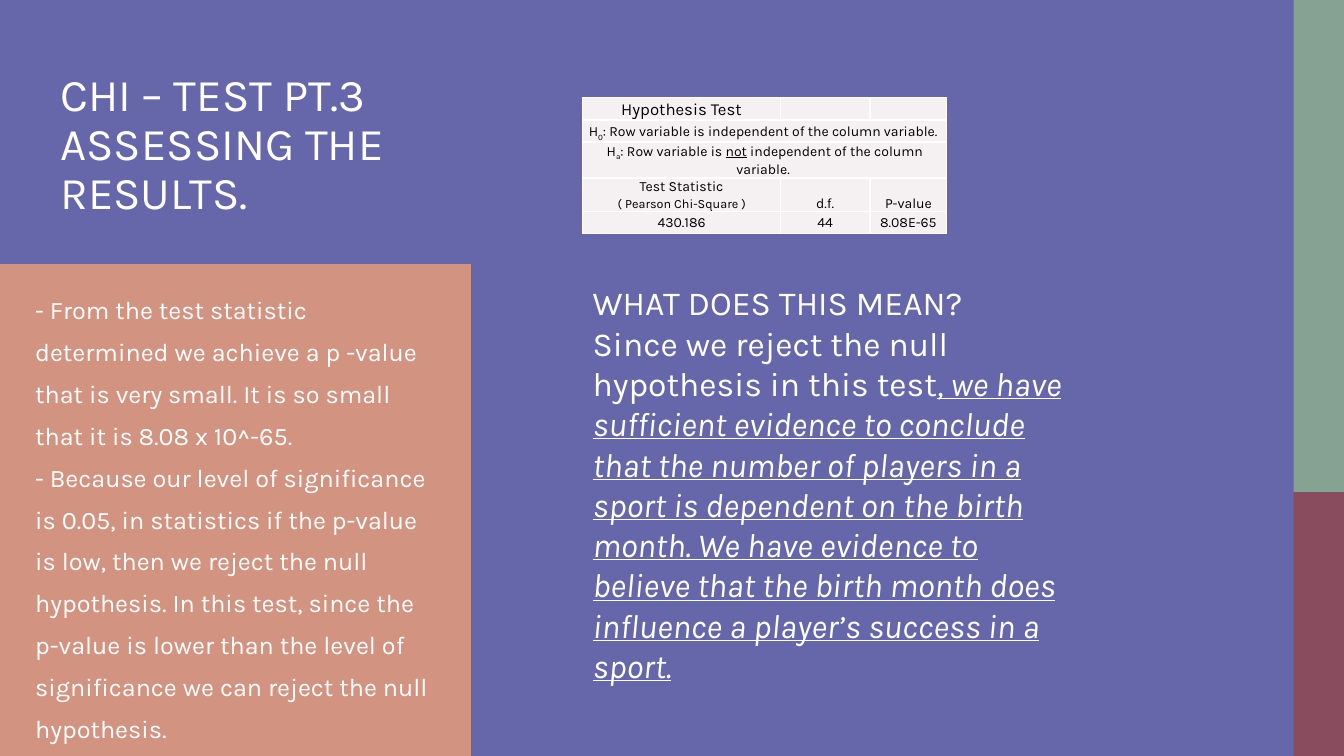
import pptx
import pptx.dml.color
import pptx.enum.shapes
import pptx.enum.text
import pptx.oxml
import pptx.oxml.ns
import pptx.util
from pptx.util import Inches

COLOURS = {
    "background": "6667AB",
    "peach": "D29381",
    "wine": "884C5E",
    "sage": "86A293",
    "white": "FFFFFF",
    "black": "000000",
    "cell": "F5F1F2",
}
FONT = "Karla"
ANCHOR = pptx.enum.text.MSO_ANCHOR
ALIGN = pptx.enum.text.PP_ALIGN

TITLE = "CHI – TEST PT.3\nASSESSING THE RESULTS."
FINDINGS = [
    "- From the test statistic determined we achieve a p -value that is very small. "
    "It is so small that it is 8.08 x 10^-65.",
    "- Because our level of significance is 0.05, in statistics if the p-value is low, "
    "then we reject the null hypothesis. In this test, since the p-value is lower than "
    "the level of significance we can reject the null hypothesis.",
]
MEANING = [
    "WHAT DOES THIS MEAN?",
    [
        "Since we reject the null hypothesis in this test",
        (", we have sufficient evidence to conclude that the number of players in a sport "
         "is dependent on the birth month. We have evidence to believe that the birth month "
         "does influence a player’s success in a sport.", {"italic": True, "underline": True}),
    ],
]

# A cell is a string or a list of runs; a one-cell row spans the table
COLUMN_WIDTHS = [1.96, 0.89, 0.76]
ROW_HEIGHTS = [0.22, 0.22, 0.35, 0.32, 0.22]
SUBSCRIPT = {"baseline": -25}
HYPOTHESIS_ROWS = [
    [[("Hypothesis Test", {"size": 12})], "", ""],
    [["H", ("0", SUBSCRIPT), ": Row variable is independent of the column variable. "]],
    [["H", ("a", SUBSCRIPT), ": Row variable is ", ("not", {"underline": True}),
      " independent of the column variable. "]],
    [["Test Statistic\n ", ("( Pearson Chi-Square ) ", {"size": 9})], "d.f.", "P-value"],
    ["430.186", "44", "8.08E-65"],
]


def rgb(name):
    return pptx.dml.color.RGBColor.from_string(COLOURS[name])


def write_text(frame, paragraphs, size=18, colour="white", align=ALIGN.LEFT,
               anchor=ANCHOR.TOP, line_spacing=None):
    frame.word_wrap = True
    frame.vertical_anchor = anchor
    for number, content in enumerate(paragraphs):
        paragraph = frame.add_paragraph() if number else frame.paragraphs[0]
        paragraph.alignment = align
        paragraph.line_spacing = line_spacing
        if not content:
            # Keeps an empty cell as low as a filled one
            end = pptx.oxml.parse_xml(
                f'<a:endParaRPr {pptx.oxml.ns.nsdecls("a")} sz="{size * 100}"/>')
            paragraph._p.append(end)
            continue
        for part in [content] if isinstance(content, str) else content:
            text, style = (part, {}) if isinstance(part, str) else part
            for line_number, line in enumerate(text.split("\n")):
                if line_number:
                    paragraph.add_line_break()
                run = paragraph.add_run()
                run.text = line
                run.font.name = FONT
                run.font.size = pptx.util.Pt(style.get("size", size))
                run.font.color.rgb = rgb(colour)
                run.font.italic = style.get("italic")
                run.font.underline = style.get("underline")
                if "baseline" in style:
                    run._r.get_or_add_rPr().set("baseline", str(style["baseline"] * 1000))


def add_panel(slide, left, top, width, height, colour):
    panel = slide.shapes.add_shape(
        pptx.enum.shapes.MSO_SHAPE.RECTANGLE,
        Inches(left), Inches(top), Inches(width), Inches(height))
    panel.shadow.inherit = False
    panel.fill.solid()
    panel.fill.fore_color.rgb = rgb(colour)
    panel.line.fill.background()


def add_text(slide, left, top, width, height, paragraphs, **text_format):
    box = slide.shapes.add_textbox(Inches(left), Inches(top), Inches(width), Inches(height))
    write_text(box.text_frame, paragraphs, **text_format)


def set_borders(cell, colour, points):
    properties = cell._tc.get_or_add_tcPr()
    for position, side in enumerate(["lnL", "lnR", "lnT", "lnB"]):
        border = pptx.oxml.parse_xml(
            f'<a:{side} {pptx.oxml.ns.nsdecls("a")} w="{points * 12700}"><a:solidFill>'
            f'<a:srgbClr val="{COLOURS[colour]}"/></a:solidFill></a:{side}>')
        properties.insert(position, border)


def add_hypothesis_table(slide, left, top):
    table = slide.shapes.add_table(
        len(ROW_HEIGHTS), len(COLUMN_WIDTHS), Inches(left), Inches(top),
        Inches(sum(COLUMN_WIDTHS)), Inches(sum(ROW_HEIGHTS))).table
    table.first_row = table.horz_banding = False
    for column, width in zip(table.columns, COLUMN_WIDTHS):
        column.width = Inches(width)
    last_row = len(ROW_HEIGHTS) - 1
    last_column = len(COLUMN_WIDTHS) - 1
    for row, (height, contents) in enumerate(zip(ROW_HEIGHTS, HYPOTHESIS_ROWS)):
        table.rows[row].height = Inches(height)
        if len(contents) == 1:
            table.cell(row, 0).merge(table.cell(row, last_column))
            contents = contents + [""] * last_column
        for column, content in enumerate(contents):
            cell = table.cell(row, column)
            cell.margin_left = cell.margin_right = cell.margin_top = cell.margin_bottom = 0
            cell.fill.solid()
            cell.fill.fore_color.rgb = rgb("cell")
            set_borders(cell, "white", 1)
            write_text(cell.text_frame, [content], size=10, colour="black", align=ALIGN.CENTER)
            cell.vertical_anchor = ANCHOR.MIDDLE if row == last_row else ANCHOR.BOTTOM


def main():
    deck = pptx.Presentation()
    deck.slide_width, deck.slide_height = Inches(13.33), Inches(7.5)
    slide = deck.slides.add_slide(deck.slide_layouts[6])
    slide.background.fill.solid()
    slide.background.fill.fore_color.rgb = rgb("background")

    # Colour panels
    add_panel(slide, 0, 2.62, 4.67, 4.88, "peach")
    add_panel(slide, 12.83, 4.86, 0.5, 2.64, "wine")
    add_panel(slide, 12.83, 0, 0.5, 4.88, "sage")

    # Title and findings
    add_text(slide, 0.5, 0.97, 3.96, 0.96, [TITLE], size=32.4,
             anchor=ANCHOR.MIDDLE, line_spacing=0.9)
    add_text(slide, 0.25, 2.75, 4.21, 3.56, FINDINGS, line_spacing=pptx.util.Pt(30))

    # Test result and its meaning
    add_hypothesis_table(slide, 5.78, 0.97)
    add_text(slide, 5.78, 2.75, 4.95, 4.14, MEANING, size=24)

    deck.save("out.pptx")


if __name__ == "__main__":
    main()
